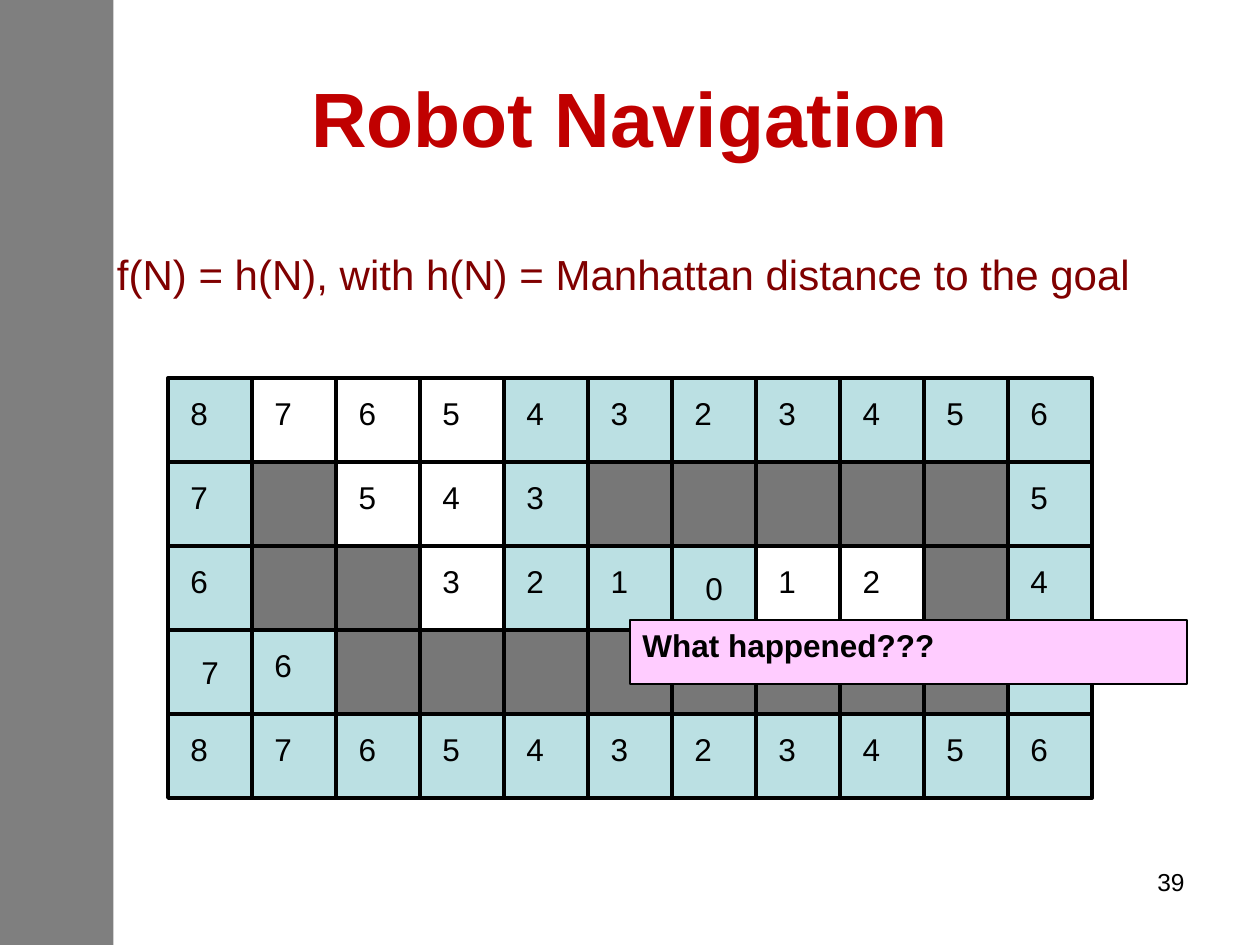
from lxml.etree import SubElement
from pptx import Presentation
from pptx.dml.color import RGBColor
from pptx.enum.shapes import MSO_CONNECTOR, MSO_SHAPE
from pptx.enum.text import MSO_ANCHOR, PP_ALIGN
from pptx.oxml.ns import qn
from pptx.util import Inches, Pt

BLACK = RGBColor(0x00, 0x00, 0x00)
RED = RGBColor(0xC0, 0x00, 0x00)
MAROON = RGBColor(0x80, 0x00, 0x00)
BLUE = RGBColor(0xBB, 0xE0, 0xE3)
GRAY = RGBColor(0x77, 0x77, 0x77)
PINK = RGBColor(0xFF, 0xCC, 0xFF)

CELL = 2 / 3
DISTANCES = ["87654323456", "7#543#####5", "6##321012#4", "76######## ", "87654323456"]
UNVISITED = {(0, 1), (0, 2), (0, 3), (1, 2), (1, 3), (2, 3), (2, 7), (2, 8)}
MARKED = {(3, 0), (2, 6)}


def set_text(shape, text, size=18, color=BLACK, bold=False,
             align=PP_ALIGN.LEFT, anchor=MSO_ANCHOR.TOP):
    """Write one formatted paragraph into a shape."""
    tf = shape.text_frame
    tf.word_wrap = True
    tf.vertical_anchor = anchor
    p = tf.paragraphs[0]
    p.alignment = align
    r = p.add_run()
    r.text = text
    r.font.name = "Arial"
    r.font.size = Pt(size)
    r.font.bold = bold
    r.font.color.rgb = color


def add_text(slide, box, text, **fmt):
    """Add a text box at the given box."""
    tb = slide.shapes.add_textbox(*map(Inches, box))
    set_text(tb, text, **fmt)


def add_rect(slide, box, fill=None, line=None):
    """Add a rectangle with an optional fill and black line width."""
    sp = slide.shapes.add_shape(MSO_SHAPE.RECTANGLE, *map(Inches, box))
    sp.shadow.inherit = False
    if fill is None:
        sp.fill.background()
    else:
        sp.fill.solid()
        sp.fill.fore_color.rgb = fill
    if line is None:
        sp.line.fill.background()
    else:
        sp.line.color.rgb = BLACK
        sp.line.width = Pt(line)
    return sp


def add_line(slide, x1, y1, x2, y2):
    """Add a black grid line."""
    cn = slide.shapes.add_connector(MSO_CONNECTOR.STRAIGHT, *map(Inches, (x1, y1, x2, y2)))
    cn.line.color.rgb = BLACK
    cn.line.width = Pt(2.25)
    SubElement(cn._element.spPr, qn("a:effectLst"))


def add_sidebar(slide, box):
    """Add the half-transparent bar on the left."""
    sp = add_rect(slide, box, BLACK)
    clr = sp._element.spPr.find(qn("a:solidFill")).find(qn("a:srgbClr"))
    SubElement(clr, qn("a:alpha"), val="50000")


def add_title(slide, box, text):
    """Place and format the title placeholder."""
    title = slide.shapes.title
    title.left, title.top, title.width, title.height = map(Inches, box)
    set_text(title, text, size=44, color=RED, bold=True,
             align=PP_ALIGN.CENTER, anchor=MSO_ANCHOR.MIDDLE)


def add_maze(slide, left, top):
    """Draw the maze: visited cells, grid, walls, distances and marked cells."""
    rows, cols = len(DISTANCES), len(DISTANCES[0])
    width, height = cols * CELL, rows * CELL
    cells = {(i, j): value for i, row in enumerate(DISTANCES) for j, value in enumerate(row)}

    def cell_box(i, j):
        """Return the box of one cell."""
        return left + j * CELL, top + i * CELL, CELL, CELL

    walls = [pos for pos, value in cells.items() if value == "#"]
    for pos in cells:
        if pos not in UNVISITED | MARKED and pos not in walls:
            add_rect(slide, cell_box(*pos), BLUE, 0.75)
    add_rect(slide, (left, top, width, height), line=2.25)
    for j in range(1, cols):
        x = left + j * CELL
        add_line(slide, x, top, x, top + height)
    for i in range(1, rows):
        y = top + i * CELL
        add_line(slide, left, y, left + width, y)
    for pos in walls:
        add_rect(slide, cell_box(*pos), GRAY, 2.25)
    for pos, value in cells.items():
        x, y, _, _ = cell_box(*pos)
        if pos in MARKED:
            sp = add_rect(slide, cell_box(*pos), BLUE, 2.25)
            set_text(sp, value, align=PP_ALIGN.CENTER, anchor=MSO_ANCHOR.MIDDLE)
        elif value.isdigit():
            add_text(slide, (x + 0.08, y + 0.08, 0.38, 0.5), value)


def add_note(slide, box, text):
    """Add the pink note over the maze."""
    set_text(add_rect(slide, box, PINK, 0.75), text, bold=True)


def main():
    """Build the slide and save it."""
    prs = Presentation()
    prs.slide_width, prs.slide_height = Inches(10), Inches(7.5)
    slide = prs.slides.add_slide(prs.slide_layouts[5])
    add_sidebar(slide, (0, 0, 0.9, 7.5))
    add_title(slide, (0.5, 0.3, 9, 1.25), "Robot Navigation")
    add_text(slide, (7.17, 6.83, 2.33, 0.52), "39", size=14, align=PP_ALIGN.RIGHT)
    add_text(slide, (0.83, 1.92, 8.52, 0.5),
             "f(N) = h(N), with h(N) = Manhattan distance to the goal", size=24, color=MAROON)
    add_maze(slide, 2 * CELL, 3)
    add_note(slide, (5, 4.92, 4.42, 0.51), "What happened???")
    prs.save("out.pptx")


if __name__ == "__main__":
    main()
